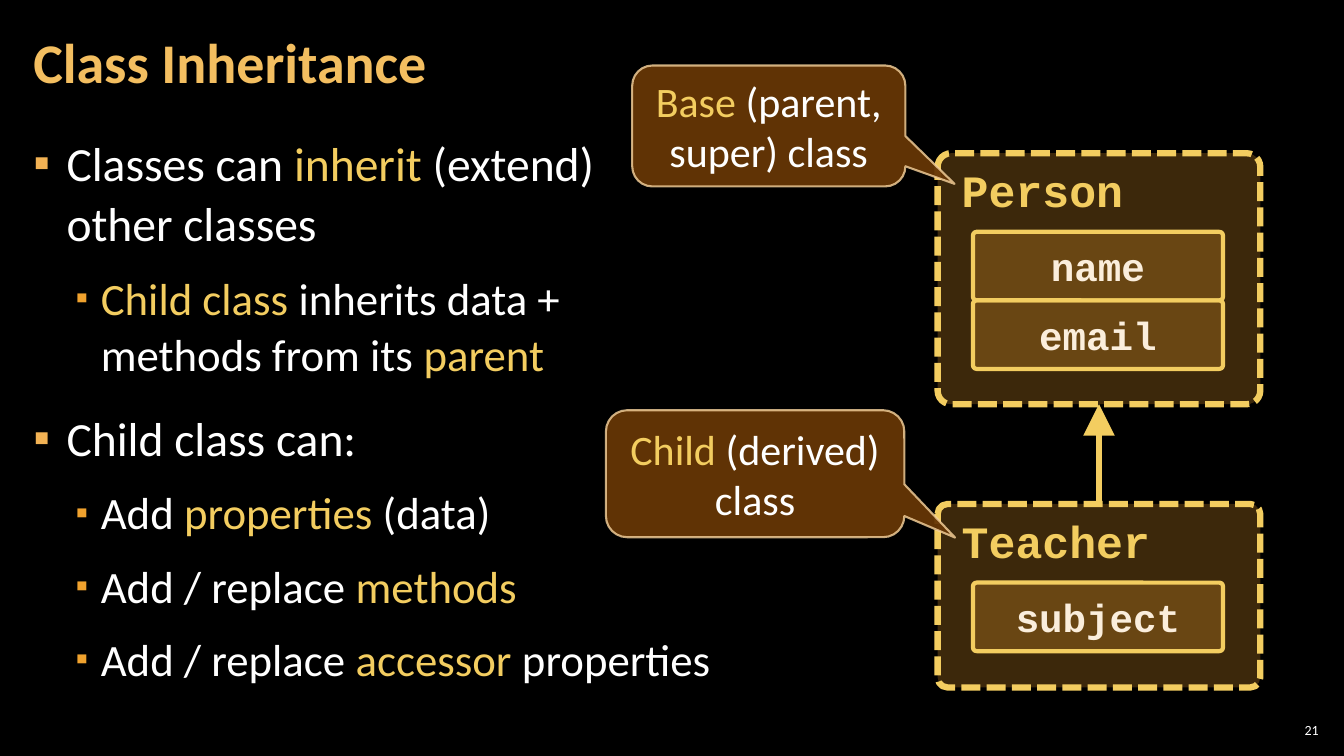
from lxml import etree
from pptx import Presentation
from pptx.dml.color import RGBColor
from pptx.enum.dml import MSO_LINE
from pptx.enum.shapes import MSO_CONNECTOR, MSO_SHAPE
from pptx.enum.text import MSO_ANCHOR, MSO_AUTO_SIZE, PP_ALIGN
from pptx.oxml.ns import qn
from pptx.util import Pt

PX = 9144  # 100 px to the inch
ROUND = MSO_SHAPE.ROUNDED_RECTANGLE
CALLOUT = MSO_SHAPE.ROUNDED_RECTANGULAR_CALLOUT
STRAIGHT = MSO_CONNECTOR.STRAIGHT
DASH = MSO_LINE.SQUARE_DOT
MIDDLE, TOP = MSO_ANCHOR.MIDDLE, MSO_ANCHOR.TOP
LEFT, CENTER, RIGHT = PP_ALIGN.LEFT, PP_ALIGN.CENTER, PP_ALIGN.RIGHT
FIXED = MSO_AUTO_SIZE.NONE

BLACK = RGBColor(0, 0, 0)
WHITE = RGBColor(255, 255, 255)
TITLE = RGBColor(0xF3, 0xBE, 0x60)
GOLD = RGBColor(0xF3, 0xCD, 0x60)
CREAM = RGBColor(0xFB, 0xEE, 0xDC)
AMBER = RGBColor(0xF0, 0xA2, 0x2E)
PEACH = RGBColor(0xF2, 0xB2, 0x54)
BROWN = RGBColor(0x66, 0x36, 0x06)
SAND = RGBColor(0xF8, 0xD4, 0x9E)
SANS, MONO = "Calibri", "Courier New"

# level, space before in points, text with *accents*
POINTS = [
    (0, 6, "Classes can *inherit* (extend) other classes"),
    (1, 6, "*Child class* inherits data + methods from its *parent*"),
    (0, 12, "Child class can:"),
    (1, 6, "Add *properties* (data)"),
    (1, 6, "Add / replace *methods*"),
    (1, 6, "Add / replace *accessor* properties"),
]
# size, left margin px, hanging indent px, bullet colour, bullet percent
LEVELS = [(34, 33, 33, PEACH, 100), (32, 67, 25, AMBER, 80)]


def place(shape, box):
    shape.left, shape.top, shape.width, shape.height = (n * PX for n in box)


def inset(frame, side, edge):
    frame.margin_left = frame.margin_right = side * PX
    frame.margin_top = frame.margin_bottom = edge * PX


def style(font, size, color, name=SANS, bold=False):
    font.size, font.name, font.bold = Pt(size), name, bold
    font.color.rgb = color


def write(para, text, size):
    """Add runs in white, with the parts between asterisks in gold."""
    for i, part in enumerate(text.split("*")):
        if part:
            run = para.add_run()
            run.text = part
            style(run.font, size, GOLD if i % 2 else WHITE)


def label(shape, text, size, color, name=SANS, bold=False, align=LEFT):
    para = shape.text_frame.paragraphs[0]
    para.text, para.alignment = text, align
    style(para.runs[0].font, size, color, name, bold)


def fade(node, percent):
    """Set the opacity of the solid fill in node."""
    color = node.find(qn("a:solidFill"))[0]
    etree.SubElement(color, qn("a:alpha"), val=str(percent * 1000))


def panel(shapes, kind, box, fill, alpha, line, width):
    shape = shapes.add_shape(kind, *(n * PX for n in box))
    shape.shadow.inherit = False
    shape.fill.solid()
    shape.fill.fore_color.rgb = fill
    fade(shape._element.spPr, alpha)
    shape.line.color.rgb = line
    shape.line.width = Pt(width)
    shape.text_frame.vertical_anchor = MIDDLE
    return shape


def textbox(shapes, box):
    shape = shapes.add_textbox(*(n * PX for n in box))
    shape.text_frame.word_wrap = True
    return shape


def heading(shape, box):
    place(shape, box)
    frame = shape.text_frame
    label(shape, "Class Inheritance", 40, TITLE, bold=True)
    inset(frame, 12, 4)
    frame.vertical_anchor = MIDDLE
    frame.auto_size = FIXED
    frame.paragraphs[0].line_spacing = 0.9


def bullet(para, level):
    _, left, hang, color, percent = LEVELS[level]
    props = para._p.get_or_add_pPr()
    props.set("marL", str(left * PX))
    props.set("indent", str(-hang * PX))
    tint = etree.SubElement(props, qn("a:buClr"))
    etree.SubElement(tint, qn("a:srgbClr"), val=str(color))
    etree.SubElement(props, qn("a:buSzPct"), val=str(percent * 1000))
    etree.SubElement(props, qn("a:buChar"), char="▪")


def outline(shape, box):
    place(shape, box)
    frame = shape.text_frame
    inset(frame, 12, 4)
    frame.vertical_anchor = TOP
    frame.auto_size = FIXED
    for i, (level, before, text) in enumerate(POINTS):
        para = frame.add_paragraph() if i else frame.paragraphs[0]
        para.level, para.alignment = level, LEFT
        para.line_spacing = 1.05
        para.space_before, para.space_after = Pt(before), Pt(6)
        bullet(para, level)
        write(para, text, LEVELS[level][0])


def diagram(slide, box, name, fields):
    """Draw a class box with its fields and return its frame."""
    x, y, w, _ = box
    shapes = slide.shapes.add_group_shape().shapes
    frame = panel(shapes, ROUND, box, AMBER, 25, GOLD, 4.5)
    frame.line.dash_style = DASH
    frame.adjustments[0] = 0.054
    for i, field in enumerate(fields):
        row = (x + 35, y + 78 + i * 68, w - 72, 68)
        cell = panel(shapes, ROUND, row, AMBER, 25, GOLD, 3)
        cell.adjustments[0] = 0.053
        label(cell, field, 28, CREAM, MONO, True, CENTER)
    head = textbox(shapes, (x + 14, y + 5, w - 28, 64))
    label(head, name, 32, GOLD, MONO, True)
    return frame


def arrow(slide, child, parent):
    line = slide.shapes.add_connector(STRAIGHT, 0, 0, 0, 0)
    line.begin_connect(child, 0)
    line.end_connect(parent, 2)
    line.line.color.rgb = GOLD
    line.line.width = Pt(4.5)
    props = line._element.spPr
    etree.SubElement(props.find(qn("a:ln")), qn("a:tailEnd"),
                     type="triangle", w="lg", len="lg")
    etree.SubElement(props, qn("a:effectLst"))


def callout(slide, box, tip, text):
    shape = panel(slide.shapes, CALLOUT, box, BROWN, 95, SAND, 1.5)
    fade(shape._element.spPr.find(qn("a:ln")), 80)
    for i, value in enumerate((*tip, 0.167)):
        shape.adjustments[i] = value
    para = shape.text_frame.paragraphs[0]
    para.alignment = CENTER
    write(para, text, 30)


def number(slide, box):
    shape = textbox(slide.shapes, box)
    inset(shape.text_frame, 4, 4)
    shape.text_frame.vertical_anchor = MIDDLE
    label(shape, "21", 10, WHITE, align=RIGHT)


def main():
    deck = Presentation()
    deck.slide_width, deck.slide_height = 1333 * PX, 750 * PX
    slide = deck.slides.add_slide(deck.slide_layouts[1])
    slide.background.fill.solid()
    slide.background.fill.fore_color.rgb = BLACK
    number(slide, (1265, 714, 47, 21))
    heading(slide.shapes.title, (21, 4, 1047, 121))
    outline(slide.placeholders[1], (21, 126, 696, 609))
    base = diagram(slide, (930, 152, 320, 249), "Person", ["name", "email"])
    child = diagram(slide, (930, 500, 320, 182), "Teacher", ["subject"])
    arrow(slide, child, base)
    callout(slide, (627, 65, 271, 120), (0.68, 0.479), "*Base* (parent, super) class")
    callout(slide, (601, 407, 296, 126), (0.67, 0.503), "*Child* (derived) class")
    deck.save("out.pptx")


if __name__ == "__main__":
    main()
